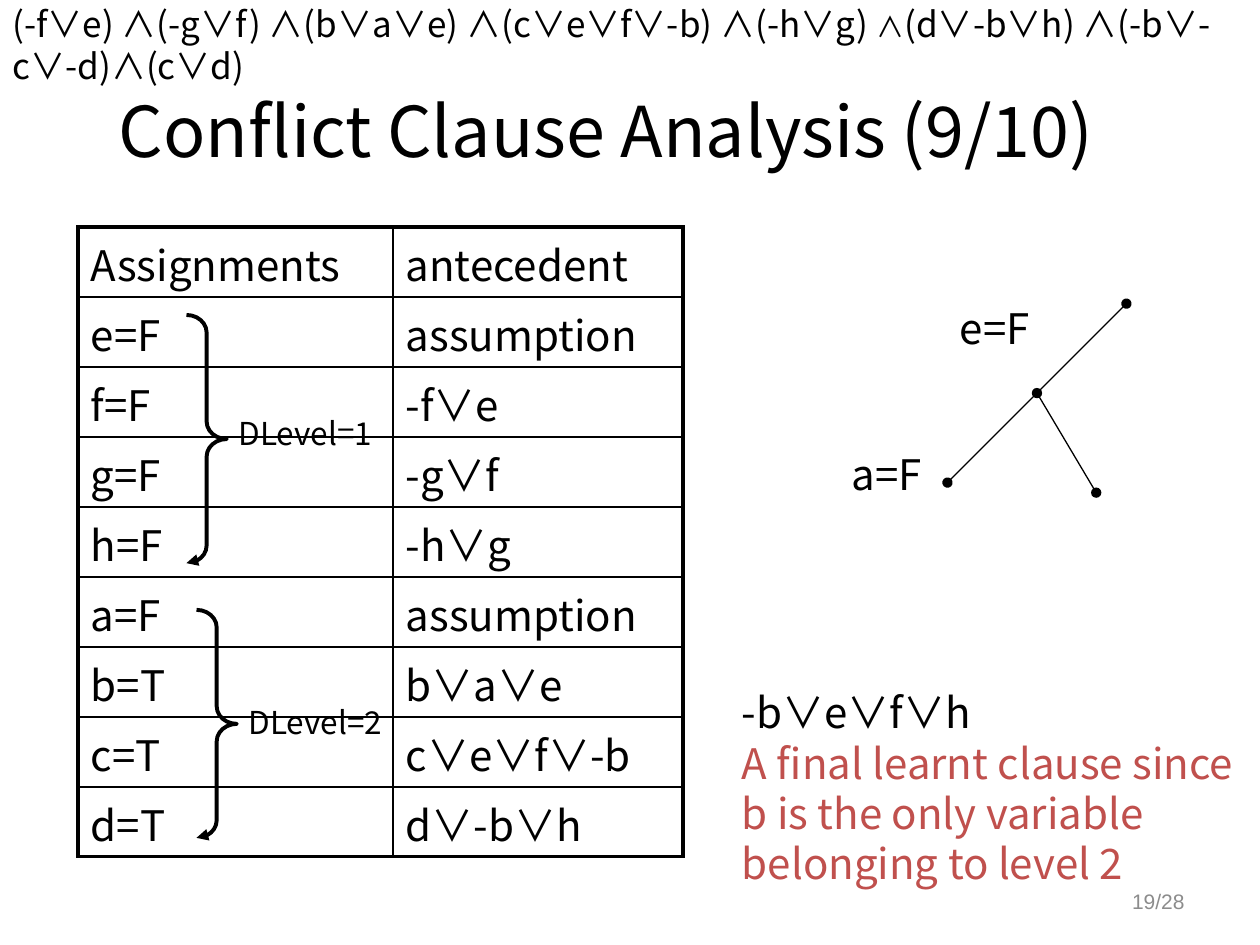
from dataclasses import dataclass

from lxml.etree import SubElement
from pptx import Presentation
from pptx.dml.color import RGBColor
from pptx.enum.shapes import MSO_CONNECTOR, MSO_SHAPE
from pptx.enum.text import MSO_ANCHOR, PP_ALIGN
from pptx.oxml import parse_xml
from pptx.oxml.ns import nsdecls, qn
from pptx.util import Inches, Pt

COLUMNS, ROWS = 100, 75  # page grid


@dataclass(frozen=True)
class Theme:
    font: str = "Noto Sans CJK KR"
    number_font: str = "Arial"
    ink: str = "000000"
    accent: str = "C0504D"
    muted: str = "8C8C8C"
    title: int = 40
    body: int = 24
    formula: int = 20
    label: int = 18
    small: int = 16
    number: int = 12
    thick: float = 2.25
    rule: float = 1
    thin: float = 0.75


class SlideBuilder:
    def __init__(self, deck, theme):
        self.theme = theme
        self.unit_x = deck.slide_width / COLUMNS
        self.unit_y = deck.slide_height / ROWS
        self.page = deck.slides.add_slide(deck.slide_layouts[5])

    def grid(self, *lengths):
        """Turn alternating columns and rows into slide lengths."""
        units = (self.unit_x, self.unit_y)
        return [round(length * units[i % 2]) for i, length in enumerate(lengths)]

    def span(self, para, text, size, color=None, font=None):
        span = para.add_run()
        span.text = text
        span.font.size = Pt(size)
        span.font.name = font or self.theme.font
        span.font.color.rgb = RGBColor.from_string(color or self.theme.ink)
        SubElement(span.font._element, qn("a:ea"), typeface=span.font.name)

    def title(self, text, *place):
        box = self.page.shapes.title
        box.left, box.top, box.width, box.height = self.grid(*place)
        box.text_frame.vertical_anchor = MSO_ANCHOR.MIDDLE
        para = box.text_frame.paragraphs[0]
        para.alignment = PP_ALIGN.CENTER
        self.span(para, text, self.theme.title)

    def text(self, paragraphs, *place, wrap=True, align=PP_ALIGN.LEFT, anchor=MSO_ANCHOR.TOP):
        """Each paragraph is a list of spans: (text, size, color, font)."""
        frame = self.page.shapes.add_textbox(*self.grid(*place)).text_frame
        frame.word_wrap = wrap
        frame.vertical_anchor = anchor
        for index, spans in enumerate(paragraphs):
            para = frame.add_paragraph() if index else frame.paragraphs[0]
            para.alignment = align
            for span in spans:
                self.span(para, *span)

    def branch(self, *ends):
        line = self.page.shapes.add_connector(MSO_CONNECTOR.STRAIGHT, *self.grid(*ends))
        line.line.width = Pt(self.theme.thin)
        line.line.color.rgb = RGBColor.from_string(self.theme.ink)
        outline = line.line._get_or_add_ln()
        for end in ("a:headEnd", "a:tailEnd"):
            SubElement(outline, qn(end), type="oval")
        SubElement(line._element.spPr, qn("a:effectLst"))

    def brace(self, *place):
        brace = self.page.shapes.add_shape(MSO_SHAPE.RIGHT_BRACE, *self.grid(*place))
        brace.shadow.inherit = False
        brace.adjustments[0] = 0.436
        brace.fill.background()
        brace.line.width = Pt(self.theme.thick)
        brace.line.color.rgb = RGBColor.from_string(self.theme.ink)
        SubElement(brace.line._get_or_add_ln(), qn("a:tailEnd"), type="triangle")

    def border(self, cell, side, width):
        properties = cell._tc.get_or_add_tcPr()
        properties.append(parse_xml(
            f'<a:ln{side} {nsdecls("a")} w="{Pt(width)}"><a:solidFill>'
            f'<a:srgbClr val="{self.theme.ink}"/></a:solidFill></a:ln{side}>'))

    def table(self, rows, widths, *place):
        frame = self.page.shapes.add_table(len(rows), len(widths), *self.grid(*place))
        table = frame.table
        table.first_row = table.horz_banding = False
        for column, width in zip(table.columns, widths):
            column.width = self.grid(width)[0]
        last_row, last_column = len(rows) - 1, len(widths) - 1
        for r, values in enumerate(rows):
            for c, value in enumerate(values):
                cell = table.cell(r, c)
                cell.vertical_anchor = MSO_ANCHOR.BOTTOM
                outer = {"L": c == 0, "R": c == last_column, "T": r == 0, "B": r == last_row}
                for side, is_outer in outer.items():
                    self.border(cell, side, self.theme.thick if is_outer else self.theme.rule)
                cell.fill.background()
                self.span(cell.text_frame.paragraphs[0], value, self.theme.body)


def main():
    deck = Presentation()
    deck.slide_width, deck.slide_height = Inches(10), Inches(7.5)
    theme = Theme()
    slide = SlideBuilder(deck, theme)

    # Title and page number
    slide.title("Conflict Clause Analysis (9/10)", 5.5, 2.3, 85.2, 16)
    slide.text([[("19/28", theme.number, theme.muted, theme.number_font)]],
               83.6, 69.5, 11.4, 4, align=PP_ALIGN.RIGHT, anchor=MSO_ANCHOR.MIDDLE)

    # Decision tree
    root, fork, left_leaf, right_leaf = (89.4, 24.1), (82.3, 31.2), (75.2, 38.3), (87, 39.1)
    slide.branch(*root, *left_leaf)
    slide.branch(*fork, *right_leaf)
    for label, left, top in (("e=F", 75.2, 23.5), ("a=F", 66.6, 35.1)):
        slide.text([[(label, theme.body)]], left, top, 7.9, 5, wrap=False)

    # Learnt clause
    slide.text([
        [("-b∨e∨f∨h", theme.body)],
        [("A final learnt clause since b is the only variable belonging to level 2",
          theme.body, theme.accent)],
    ], 57.9, 54, 41.7, 17.2)

    # Assignments and their antecedents
    slide.table([
        ("Assignments", "antecedent"),
        ("e=F", "assumption"),
        ("f=F", "-f∨e"),
        ("g=F", "-g∨f"),
        ("h=F", "-h∨g"),
        ("a=F", "assumption"),
        ("b=T", "b∨a∨e"),
        ("c=T", "c∨e∨f∨-b"),
        ("d=T", "d∨-b∨h"),
    ], (25, 23), 6.2, 18, 48, 50)

    # Decision levels
    for label, left, top, height, label_top in (
        ("DLevel=2", 15.6, 48.4, 18.1, 55.3),
        ("DLevel=1", 14.8, 25, 19.7, 32.4),
    ):
        slide.text([[(label, theme.label)]], left + 3.15, label_top, 12.6, 4, wrap=False)
        slide.brace(left, top, 3.2, height)

    # Formula
    slide.text([[
        ("(-f∨e) ∧(-g∨f) ∧(b∨a∨e) ∧(c∨e∨f∨-b) ∧(-h∨g) ", theme.formula),
        ("∧", theme.small),
        ("(d∨-b∨h) ∧(-b∨-c∨-d)∧(c∨d)", theme.formula),
    ]], 0, -0.3, 100, 4.4)

    deck.save("out.pptx")


if __name__ == "__main__":
    main()
